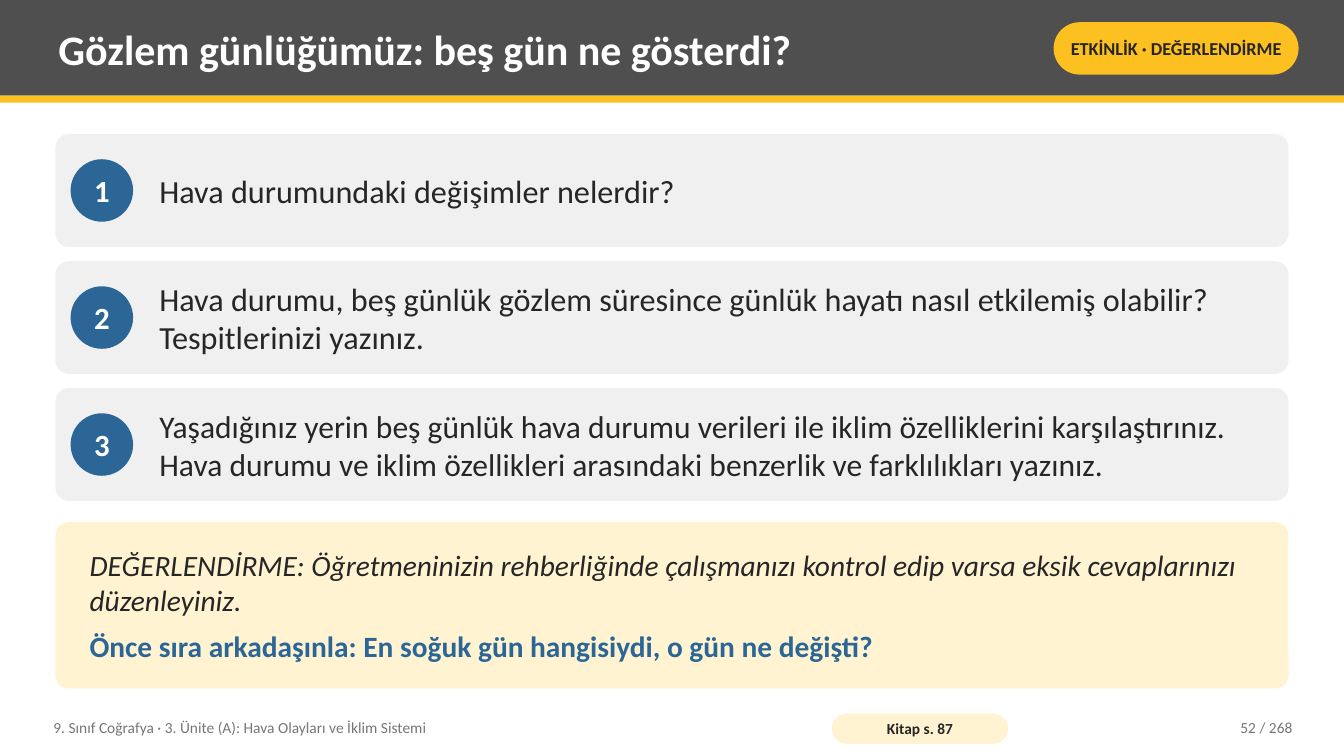
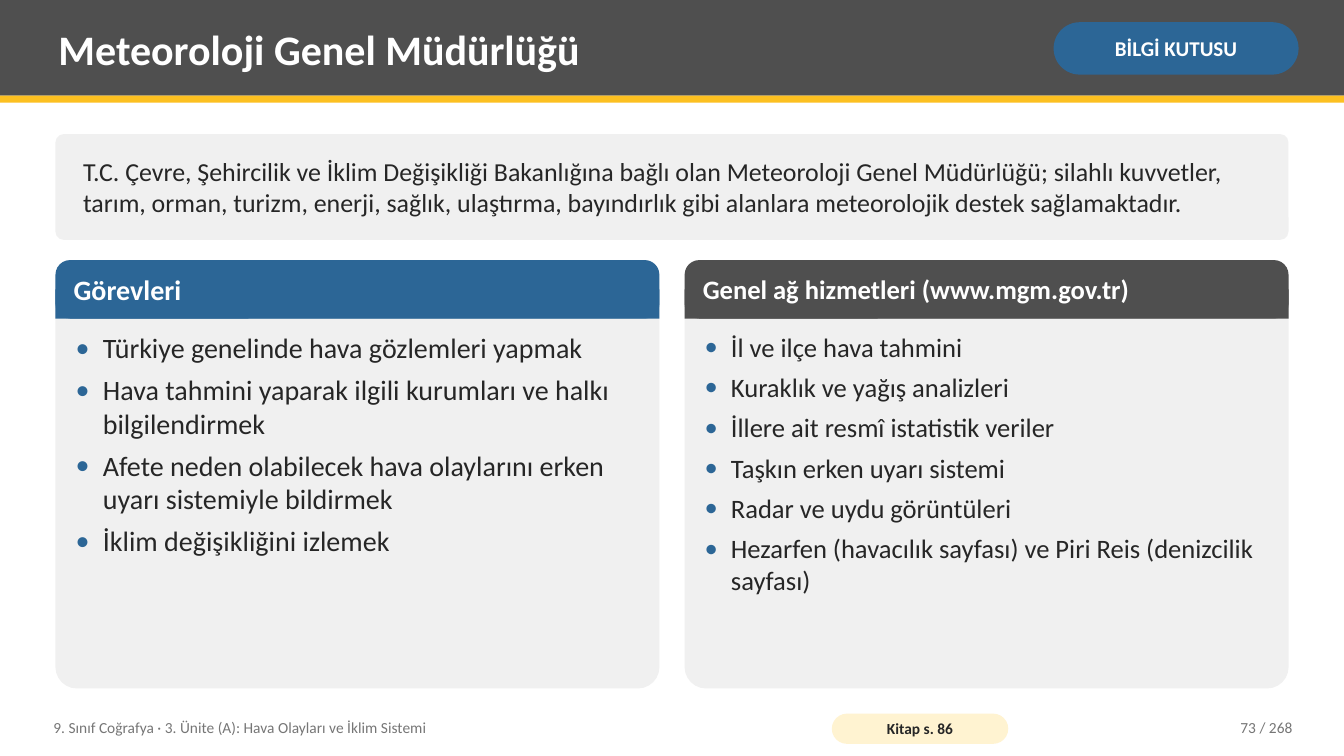
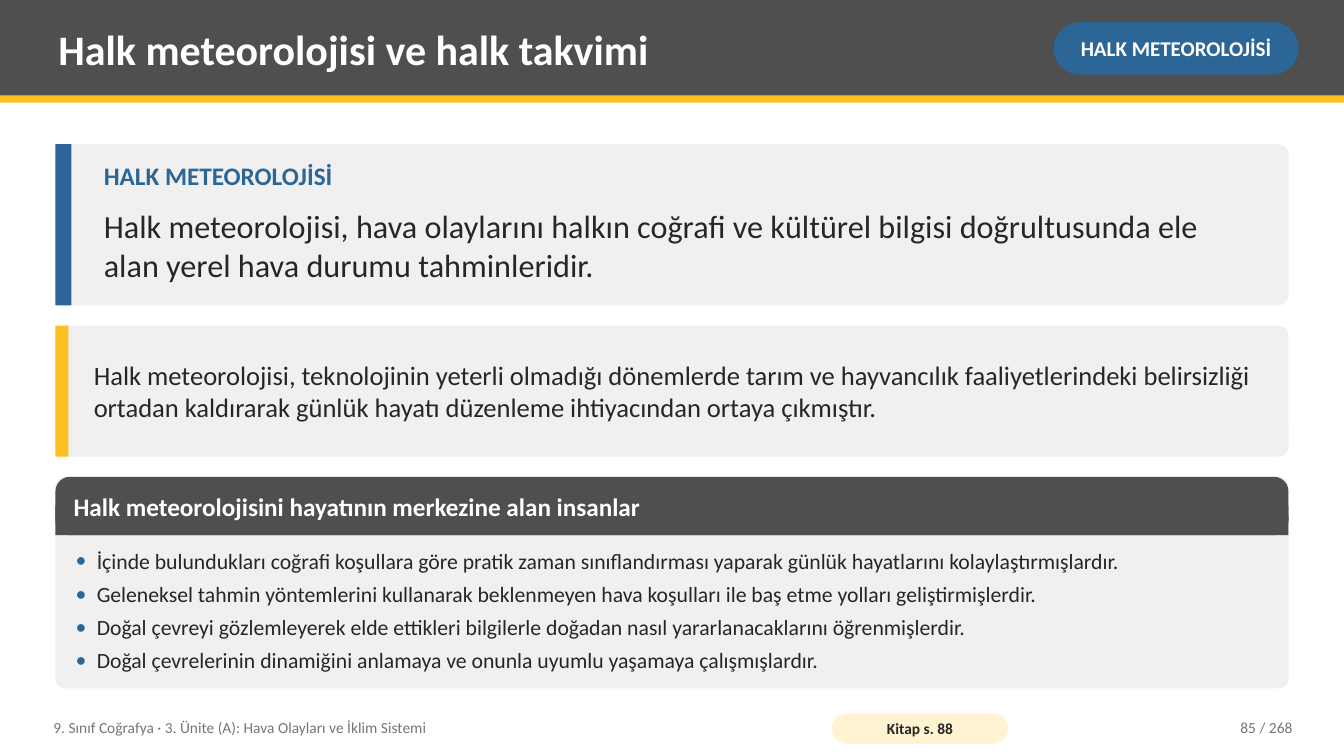
from dataclasses import dataclass

from lxml import etree
from pptx import Presentation
from pptx.dml.color import RGBColor
from pptx.enum.shapes import MSO_SHAPE
from pptx.enum.text import MSO_ANCHOR, MSO_AUTO_SIZE, PP_ALIGN
from pptx.oxml.ns import qn
from pptx.util import Inches, Pt

RECTANGLE, ROUNDED, OVAL = MSO_SHAPE.RECTANGLE, MSO_SHAPE.ROUNDED_RECTANGLE, MSO_SHAPE.OVAL
TOP, MIDDLE = MSO_ANCHOR.TOP, MSO_ANCHOR.MIDDLE
LEFT, CENTER, RIGHT = PP_ALIGN.LEFT, PP_ALIGN.CENTER, PP_ALIGN.RIGHT
TITLE_ONLY = 5


@dataclass(frozen=True)
class Theme:
    font: str = "Calibri"
    white: str = "FFFFFF"
    ink: str = "262626"
    muted: str = "767676"
    charcoal: str = "4F4F4F"
    panel: str = "F0F0F0"
    blue: str = "2C6696"
    yellow: str = "FCC021"
    cream: str = "FFF3D1"
    title_size: float = 30
    question_size: float = 23
    number_size: float = 22
    note_size: float = 21
    body_size: float = 19
    intro_size: float = 18.5
    label_size: float = 18
    footer_size: float = 11


THEME = Theme()
PAGE_WIDTH, PAGE_HEIGHT = 13.33, 7.5
MARGIN = 0.55
CONTENT_WIDTH = 12.23
CONTENT_TOP, CONTENT_BOTTOM = 1.33, 6.83
TEXT_INSETS = (0.08, 0.04)
UNIT = "9. Sınıf Coğrafya · 3. Ünite (A): Hava Olayları ve İklim Sistemi"
PAGE_TOTAL = 268


@dataclass(frozen=True)
class Area:
    left: float
    top: float
    width: float
    height: float


@dataclass(frozen=True)
class Line:
    text: str
    size: float
    color: str = THEME.ink
    bold: bool = False
    italic: bool = False
    after: float = 0
    bullet: bool = False


@dataclass(frozen=True)
class Frame:
    title: str
    badge: str
    badge_size: float
    badge_fill: str
    badge_color: str
    book_page: int
    number: int


@dataclass(frozen=True)
class Question:
    text: str
    size: float = THEME.question_size


@dataclass(frozen=True)
class ListPanel:
    area: Area
    heading: str
    heading_size: float
    fill: str
    items: tuple[str, ...]
    item_size: float
    gap: float


# Text and shape helpers
def add_bullet(para, size: float) -> None:
    properties = para._p.get_or_add_pPr()
    indent = Inches(round(size * 0.0135, 2))
    properties.set("marL", str(indent))
    properties.set("indent", str(-indent))
    color = etree.SubElement(properties, qn("a:buClr"))
    etree.SubElement(color, qn("a:srgbClr"), val=THEME.blue)
    etree.SubElement(properties, qn("a:buFont"), typeface=THEME.font)
    etree.SubElement(properties, qn("a:buChar"), char="•")


def write(box, lines: list[Line], insets: tuple[float, float] = TEXT_INSETS,
          anchor=MIDDLE, align=LEFT, wrap: bool = True) -> None:
    frame = box.text_frame
    side, edge = (Inches(inset) for inset in insets)
    formats = {"margin_left": side, "margin_right": side, "margin_top": edge,
               "margin_bottom": edge, "vertical_anchor": anchor,
               "word_wrap": wrap, "auto_size": MSO_AUTO_SIZE.NONE}
    for name, value in formats.items():
        setattr(frame, name, value)
    for index, line in enumerate(lines):
        para = frame.add_paragraph() if index else frame.paragraphs[0]
        if line.bullet:
            add_bullet(para, line.size)
        para.alignment = align
        if line.after and index < len(lines) - 1:
            para.space_after = Pt(line.after)
        span = para.add_run()
        span.text = line.text
        font_formats = {"name": THEME.font, "size": Pt(line.size),
                        "bold": line.bold, "italic": line.italic}
        for name, value in font_formats.items():
            setattr(span.font, name, value)
        span.font.color.rgb = RGBColor.from_string(line.color)


def lengths(area: Area) -> tuple:
    return tuple(Inches(value) for value in (area.left, area.top, area.width, area.height))


def add_box(page, kind, area: Area, fill: str, radius: float = 0):
    box = page.shapes.add_shape(kind, *lengths(area))
    box.shadow.inherit = False
    box.fill.solid()
    box.fill.fore_color.rgb = RGBColor.from_string(fill)
    box.line.fill.background()
    if kind == ROUNDED:
        box.adjustments[0] = radius
    return box


def add_text(page, area: Area, lines: list[Line], anchor=MIDDLE, align=LEFT) -> None:
    write(page.shapes.add_textbox(*lengths(area)), lines, anchor=anchor, align=align)


# Shared header and footer
def add_page(deck, frame: Frame):
    page = deck.slides.add_slide(deck.slide_layouts[TITLE_ONLY])
    add_box(page, RECTANGLE, Area(0, 0, PAGE_WIDTH, 0.95), THEME.charcoal)
    add_box(page, RECTANGLE, Area(0, 0.95, PAGE_WIDTH, 0.07), THEME.yellow)

    title = page.shapes.title
    title.left, title.top, title.width, title.height = lengths(Area(0.5, 0.07, 9.75, 0.82))
    write(title, [Line(frame.title, THEME.title_size, THEME.white, bold=True)])
    title.element.getparent().append(title.element)  # bring above the band

    badge = add_box(page, ROUNDED, Area(10.45, 0.22, 2.43, 0.52), frame.badge_fill, 0.5)
    write(badge, [Line(frame.badge, frame.badge_size, frame.badge_color, bold=True)],
          (0.05, 0.02), align=CENTER)

    add_text(page, Area(0.45, 7.04, 7.6, 0.36), [Line(UNIT, THEME.footer_size, THEME.muted)])
    book = add_box(page, ROUNDED, Area(8.25, 7.08, 1.75, 0.3), THEME.cream, 0.5)
    write(book, [Line(f"Kitap s. {frame.book_page}", THEME.footer_size, bold=True)],
          (0.04, 0), align=CENTER)
    add_text(page, Area(11.3, 7.04, 1.6, 0.36),
             [Line(f"{frame.number} / {PAGE_TOTAL}", THEME.footer_size, THEME.muted)],
             align=RIGHT)
    return page


# Content parts
def add_question(page, number: int, question: Question) -> None:
    height, gap, disc = 1.12, 0.14, 0.62
    top = CONTENT_TOP + (number - 1) * (height + gap)
    add_box(page, ROUNDED, Area(MARGIN, top, CONTENT_WIDTH, height), THEME.panel, 0.12)
    circle = add_box(page, OVAL, Area(0.7, top + (height - disc) / 2, disc, disc), THEME.blue)
    write(circle, [Line(str(number), THEME.number_size, THEME.white, bold=True)],
          (0, 0), align=CENTER, wrap=False)
    add_text(page, Area(1.5, top, 11.13, height), [Line(question.text, question.size)])


def add_list_panel(page, panel: ListPanel) -> None:
    area, header = panel.area, 0.58
    add_box(page, ROUNDED, area, THEME.panel, 0.05)
    add_box(page, ROUNDED, Area(area.left, area.top, area.width, header), panel.fill, 0.25)
    add_box(page, RECTANGLE,
            Area(area.left, area.top + header / 2, area.width, header / 2), panel.fill)
    add_text(page, Area(area.left + 0.1, area.top, area.width - 0.2, header),
             [Line(panel.heading, panel.heading_size, THEME.white, bold=True)])
    add_text(page, Area(area.left + 0.12, area.top + header + 0.08,
                        area.width - 0.24, area.height - header - 0.16),
             [Line(item, panel.item_size, after=panel.gap, bullet=True)
              for item in panel.items], anchor=TOP)


def add_accent_panel(page, top: float, height: float, bar: float,
                     color: str, radius: float) -> None:
    add_box(page, ROUNDED, Area(MARGIN, top, CONTENT_WIDTH, height), THEME.panel, radius)
    add_box(page, RECTANGLE, Area(MARGIN, top, bar, height), color)


# Slides
def build_observation_page(deck) -> None:
    page = add_page(deck, Frame("Gözlem günlüğümüz: beş gün ne gösterdi?",
                                "ETKİNLİK · DEĞERLENDİRME", 13, THEME.yellow, THEME.ink, 87, 52))
    questions = (
        Question("Hava durumundaki değişimler nelerdir?"),
        Question("Hava durumu, beş günlük gözlem süresince günlük hayatı nasıl "
                 "etkilemiş olabilir? Tespitlerinizi yazınız."),
        Question("Yaşadığınız yerin beş günlük hava durumu verileri ile iklim özelliklerini "
                 "karşılaştırınız. Hava durumu ve iklim özellikleri arasındaki benzerlik ve "
                 "farklılıkları yazınız.", 22.5),
    )
    for number, question in enumerate(questions, 1):
        add_question(page, number, question)
    evaluation = add_box(page, ROUNDED, Area(MARGIN, 5.18, CONTENT_WIDTH, 1.65),
                         THEME.cream, 0.08)
    write(evaluation, [
        Line("DEĞERLENDİRME: Öğretmeninizin rehberliğinde çalışmanızı kontrol edip varsa "
             "eksik cevaplarınızı düzenleyiniz.", THEME.note_size, italic=True, after=8),
        Line("Önce sıra arkadaşınla: En soğuk gün hangisiydi, o gün ne değişti?",
             THEME.note_size, THEME.blue, bold=True),
    ], (0.3, 0.08))


def build_directorate_page(deck) -> None:
    page = add_page(deck, Frame("Meteoroloji Genel Müdürlüğü", "BİLGİ KUTUSU", 15,
                                THEME.blue, THEME.white, 86, 73))
    intro = add_box(page, ROUNDED, Area(MARGIN, CONTENT_TOP, CONTENT_WIDTH, 1.05),
                    THEME.panel, 0.08)
    write(intro, [Line(
        "T.C. Çevre, Şehircilik ve İklim Değişikliği Bakanlığına bağlı olan Meteoroloji Genel "
        "Müdürlüğü; silahlı kuvvetler, tarım, orman, turizm, enerji, sağlık, ulaştırma, "
        "bayındırlık gibi alanlara meteorolojik destek sağlamaktadır.", THEME.intro_size)],
        (0.25, 0.08))

    top, gap = 2.58, 0.25
    width = (CONTENT_WIDTH - gap) / 2
    height = CONTENT_BOTTOM - top
    duties = ("Türkiye genelinde hava gözlemleri yapmak",
              "Hava tahmini yaparak ilgili kurumları ve halkı bilgilendirmek",
              "Afete neden olabilecek hava olaylarını erken uyarı sistemiyle bildirmek",
              "İklim değişikliğini izlemek")
    services = ("İl ve ilçe hava tahmini",
                "Kuraklık ve yağış analizleri",
                "İllere ait resmî istatistik veriler",
                "Taşkın erken uyarı sistemi",
                "Radar ve uydu görüntüleri",
                "Hezarfen (havacılık sayfası) ve Piri Reis (denizcilik sayfası)")
    columns = (("Görevleri", THEME.blue, duties, 20),
               ("Genel ağ hizmetleri (www.mgm.gov.tr)", THEME.charcoal, services, 19))
    for index, (heading, fill, items, size) in enumerate(columns):
        area = Area(MARGIN + index * (width + gap), top, width, height)
        add_list_panel(page, ListPanel(area, heading, size, fill, items, size, 6))


def build_folk_page(deck) -> None:
    page = add_page(deck, Frame("Halk meteorolojisi ve halk takvimi", "HALK METEOROLOJİSİ", 15,
                                THEME.blue, THEME.white, 88, 85))
    # Definition
    add_accent_panel(page, 1.43, 1.6, 0.16, THEME.blue, 0.06)
    add_text(page, Area(0.95, 1.55, 11.63, 0.45),
             [Line("HALK METEOROLOJİSİ", THEME.label_size, THEME.blue, bold=True)], anchor=TOP)
    add_text(page, Area(0.95, 1.98, 11.63, 0.9), [Line(
        "Halk meteorolojisi, hava olaylarını halkın coğrafi ve kültürel bilgisi doğrultusunda "
        "ele alan yerel hava durumu tahminleridir.", THEME.question_size)])
    # Origin
    add_accent_panel(page, 3.23, 1.3, 0.13, THEME.yellow, 0.08)
    add_text(page, Area(0.85, 3.23, 11.78, 1.3), [Line(
        "Halk meteorolojisi, teknolojinin yeterli olmadığı dönemlerde tarım ve hayvancılık "
        "faaliyetlerindeki belirsizliği ortadan kaldırarak günlük hayatı düzenleme "
        "ihtiyacından ortaya çıkmıştır.", THEME.body_size)])
    # People
    people = (
        "İçinde bulundukları coğrafi koşullara göre pratik zaman sınıflandırması yaparak "
        "günlük hayatlarını kolaylaştırmışlardır.",
        "Geleneksel tahmin yöntemlerini kullanarak beklenmeyen hava koşulları ile baş etme "
        "yolları geliştirmişlerdir.",
        "Doğal çevreyi gözlemleyerek elde ettikleri bilgilerle doğadan nasıl "
        "yararlanacaklarını öğrenmişlerdir.",
        "Doğal çevrelerinin dinamiğini anlamaya ve onunla uyumlu yaşamaya çalışmışlardır.",
    )
    add_list_panel(page, ListPanel(
        Area(MARGIN, 4.73, CONTENT_WIDTH, CONTENT_BOTTOM - 4.73),
        "Halk meteorolojisini hayatının merkezine alan insanlar",
        THEME.label_size, THEME.charcoal, people, 15.5, 5.2))


def main() -> None:
    deck = Presentation()
    deck.slide_width, deck.slide_height = Inches(PAGE_WIDTH), Inches(PAGE_HEIGHT)
    for build in (build_observation_page, build_directorate_page, build_folk_page):
        build(deck)
    deck.save("out.pptx")


if __name__ == "__main__":
    main()
